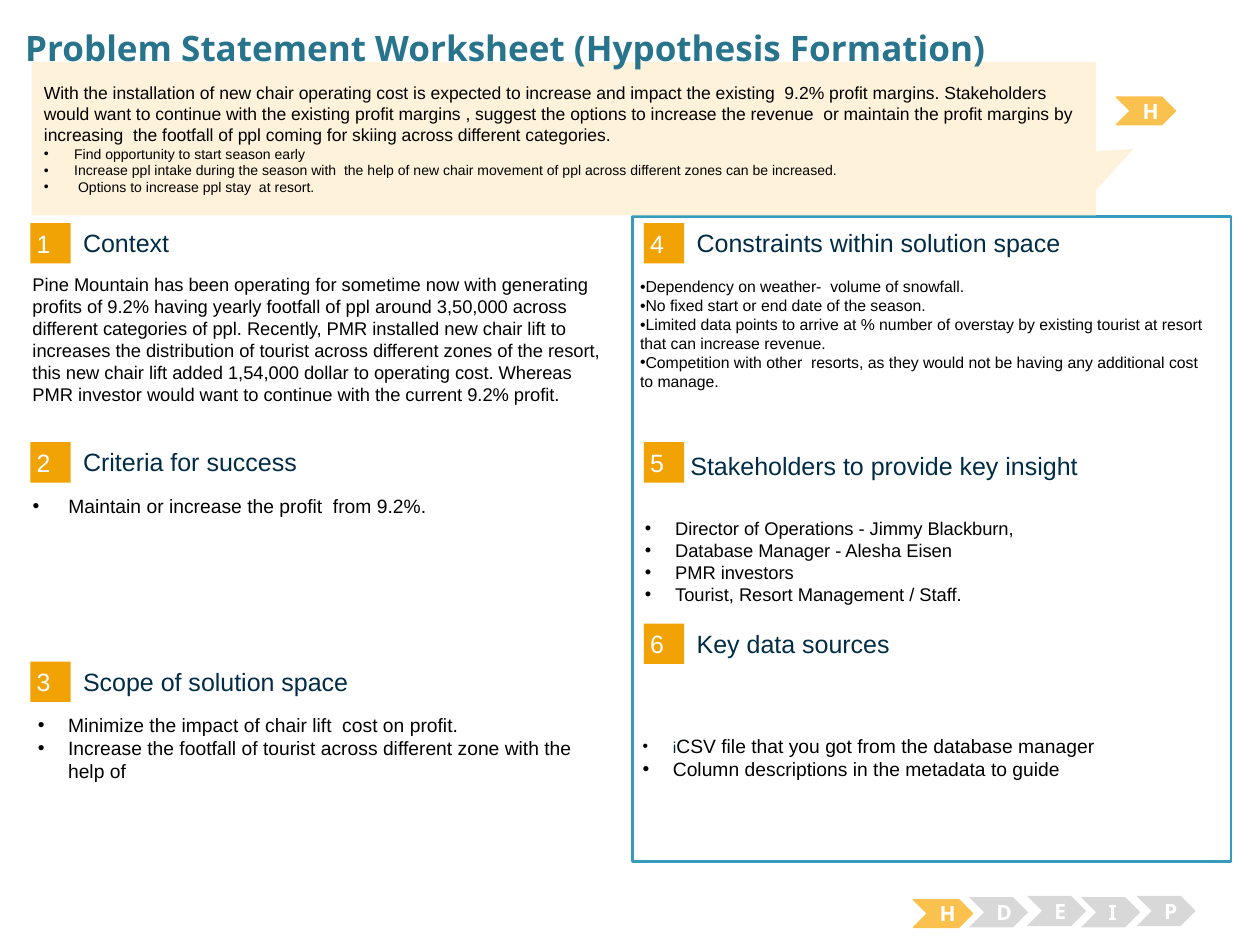
from dataclasses import dataclass

from lxml import etree
from pptx import Presentation
from pptx import util as u
from pptx.dml.color import RGBColor
from pptx.enum import shapes, text
from pptx.oxml import ns

BLACK, WHITE, NAVY, TEAL = "000000", "FFFFFF", "002C46", "29748D"
ORANGE, AMBER, GREY = "F1A205", "FBC14E", "D8D8D8"
TOP, MIDDLE = text.MSO_ANCHOR.TOP, text.MSO_ANCHOR.MIDDLE
PADDING = (0.1, 0.05, 0.1, 0.05)
FLUSH = (0, 0, 0, 0)


@dataclass
class Section:
    number: int
    heading: str
    left: float
    top: float
    shift_x: float = 0
    shift_y: float = 0


@dataclass
class Stage:
    letter: str
    left: float
    top: float
    active: bool = False


@dataclass
class Listing:
    holder: int
    box: tuple
    items: list
    size: float
    indent: float = 0.24
    insets: tuple = PADDING
    anchor: text.MSO_ANCHOR = TOP
    lead: str = ""


def color(target, value: str) -> None:
    target.rgb = RGBColor.from_string(value)


def frame_of(shape, insets=PADDING, anchor=MIDDLE):
    frame = shape.text_frame
    frame.word_wrap = True
    frame.auto_size = text.MSO_AUTO_SIZE.NONE
    frame.vertical_anchor = anchor
    (frame.margin_left, frame.margin_top,
     frame.margin_right, frame.margin_bottom) = map(u.Inches, insets)
    return frame


def write(frame, words: str, *, size: float, ink: str = BLACK, font: str = "Arial",
          bold: bool = False, align=text.PP_ALIGN.LEFT, bullet: bool = False,
          indent: float = 0, paragraph=None):
    if paragraph is None:
        first = frame.paragraphs[0]
        paragraph = frame.add_paragraph() if first.runs else first
        paragraph.alignment = align
        paragraph.space_before = paragraph.space_after = u.Pt(0)
        props = paragraph._p.get_or_add_pPr()
        props.set("marL", str(u.Inches(indent)))
        props.set("indent", str(-u.Inches(indent)))
        if bullet:
            tint = etree.SubElement(props, ns.qn("a:buClr"))
            etree.SubElement(tint, ns.qn("a:srgbClr"), val=BLACK)
            etree.SubElement(props, ns.qn("a:buFont"), typeface="Arial")
            etree.SubElement(props, ns.qn("a:buChar"), char="•")
        else:
            etree.SubElement(props, ns.qn("a:buNone"))
    run = paragraph.add_run()
    run.text = words
    run.font.size, run.font.name, run.font.bold = u.Pt(size), font, bold
    color(run.font.color, ink)
    return paragraph


def place(shape, box: tuple) -> None:
    shape.left, shape.top, shape.width, shape.height = map(u.Inches, box)


def add_block(slide, kind, box: tuple, fill: str, line: str = "", weight: float = 0.75):
    block = slide.shapes.add_shape(kind, *map(u.Inches, box))
    block.shadow.inherit = False
    block.fill.solid()
    color(block.fill.fore_color, fill)
    if line:
        color(block.line.color, line)
        block.line.width = u.Pt(weight)
    else:
        block.line.fill.background()
    return block


def add_section(slide, section: Section) -> None:
    badge = add_block(slide, shapes.MSO_SHAPE.RECTANGLE,
                      (section.left, section.top, 0.32, 0.32), ORANGE)
    write(frame_of(badge, (0.05,) * 4), str(section.number), size=14.3, ink=WHITE)
    heading = slide.shapes.add_textbox(
        u.Inches(section.left + 0.42 + section.shift_x),
        u.Inches(section.top + 0.03 + section.shift_y), u.Inches(3.93), u.Inches(0.25))
    write(frame_of(heading, FLUSH), section.heading, size=14.3, ink=NAVY)


def add_stage(slide, stage: Stage) -> None:
    fill, line, height = (AMBER, AMBER, 0.22) if stage.active else (GREY, "", 0.24)
    chevron = add_block(slide, shapes.MSO_SHAPE.CHEVRON,
                        (stage.left, stage.top, 0.47, height), fill, line)
    write(frame_of(chevron), stage.letter, size=12, ink=WHITE, font="Noto Sans",
          bold=True, align=text.PP_ALIGN.CENTER)


def fill_listing(slide, listing: Listing) -> None:
    holder = slide.placeholders[listing.holder]
    place(holder, listing.box)
    frame = frame_of(holder, listing.insets, listing.anchor)
    lead = listing.lead
    for item in listing.items:
        style = dict(bullet=True, indent=listing.indent)
        if lead:
            paragraph = write(frame, lead, size=9, ink=NAVY, **style)
            write(frame, item, size=listing.size, paragraph=paragraph)
            lead = ""
        else:
            write(frame, item, size=listing.size, **style)


SECTIONS = [
    Section(1, "Context", 0.24, 1.77),
    Section(2, "Criteria for success", 0.24, 3.51),
    Section(3, "Scope of solution space", 0.24, 5.25),
    Section(4, "Constraints within solution space", 5.11, 1.77),
    Section(5, "Stakeholders to provide key insight", 5.11, 3.51, -0.05, 0.03),
    Section(6, "Key data sources", 5.11, 4.95),
]
STAGES = [
    Stage("H", 8.86, 0.77, True),
    Stage("H", 7.25, 7.14, True),
    Stage("D", 7.69, 7.12),
    Stage("E", 8.15, 7.11),
    Stage("I", 8.58, 7.12),
    Stage("P", 9.02, 7.11),
]
LISTINGS = [
    Listing(1, (0.16, 3.87, 4.73, 1.27), [" Maintain or increase the profit  from 9.2%."], 11),
    Listing(2, (0.2, 5.61, 4.73, 0.82), [
        "Minimize the impact of chair lift  cost on profit.",
        "Increase the footfall of tourist across different zone with the help of",
    ], 11),
    Listing(3, (4.98, 2.15, 4.73, 1.18), [
        "Dependency on weather-  volume of snowfall.",
        "No fixed start or end date of the season.",
        "Limited data points to arrive at % number of overstay by existing tourist "
        "at resort that can increase revenue.",
        "Competition with other  resorts, as they would not be having any additional "
        "cost to manage.",
    ], 9, indent=0),
    Listing(4, (5.1, 5.31, 4.52, 1.4), [
        "CSV file that you got from the database manager",
        "Column descriptions in the metadata to guide",
    ], 11, insets=FLUSH, anchor=MIDDLE, lead="i"),
]
STAKEHOLDERS = [
    "Director of Operations - Jimmy Blackburn,",
    "Database Manager - Alesha Eisen",
    "PMR investors",
    "Tourist, Resort Management / Staff.",
]
PROBLEM = (
    "With the installation of new chair operating cost is expected to increase and impact "
    "the existing  9.2% profit margins. Stakeholders would want to continue with the "
    "existing profit margins , suggest the options to increase the revenue  or maintain the "
    "profit margins by increasing  the footfall of ppl coming for skiing across different "
    "categories.")
OPTIONS = [
    "Find opportunity to start season early",
    "Increase ppl intake during the season with  the help of new chair movement of ppl "
    "across different zones can be increased.",
    " Options to increase ppl stay  at resort.",
]
CONTEXT = (
    "Pine Mountain has been operating for sometime now with generating profits of 9.2% having "
    "yearly footfall of ppl around 3,50,000 across different categories of ppl. Recently, "
    "PMR installed new chair lift to increases the distribution of tourist across different "
    "zones of the resort, this new chair lift added 1,54,000 dollar to operating cost. "
    "Whereas PMR investor would want to continue with the current 9.2% profit.")

deck = Presentation()
deck.slide_width, deck.slide_height = u.Inches(10), u.Inches(7.5)
worksheet = deck.slides.add_slide(deck.slide_layouts.get_by_name("Comparison"))
title = worksheet.shapes.title

stakeholders = add_block(worksheet, shapes.MSO_SHAPE.RECTANGLE,
                         (5.02, 1.72, 4.75, 5.12), WHITE, "379BBD", 1.5)
title._element.addprevious(stakeholders._element)
stakeholder_lines = frame_of(stakeholders, (0.1, 0.4, 0.1, 0.05))
for person in STAKEHOLDERS:
    write(stakeholder_lines, person, size=10.5, bullet=True, indent=0.24)

problem = add_block(worksheet, shapes.MSO_SHAPE.RECTANGULAR_CALLOUT,
                    (0.25, 0.49, 8.45, 1.22), "FEF2DA")
problem.adjustments[0], problem.adjustments[1] = 0.535, 0.066
problem_lines = frame_of(problem)
write(problem_lines, PROBLEM, size=10)
for option in OPTIONS:
    write(problem_lines, option, size=8, bullet=True, indent=0.24)

for section in SECTIONS:
    add_section(worksheet, section)
for stage in STAGES:
    add_stage(worksheet, stage)
for listing in LISTINGS:
    fill_listing(worksheet, listing)

context = worksheet.shapes.add_textbox(*map(u.Inches, (0.16, 2.12, 4.73, 0.88)))
write(frame_of(context, anchor=TOP), CONTEXT, size=10.5)

place(title, (0.2, 0.21, 9.62, 0.34))
write(frame_of(title, FLUSH, TOP), "Problem Statement Worksheet (Hypothesis Formation)",
      size=20, ink=TEAL, font="Noto Sans", bold=True)
problem._element.addnext(title._element)

deck.save("out.pptx")
